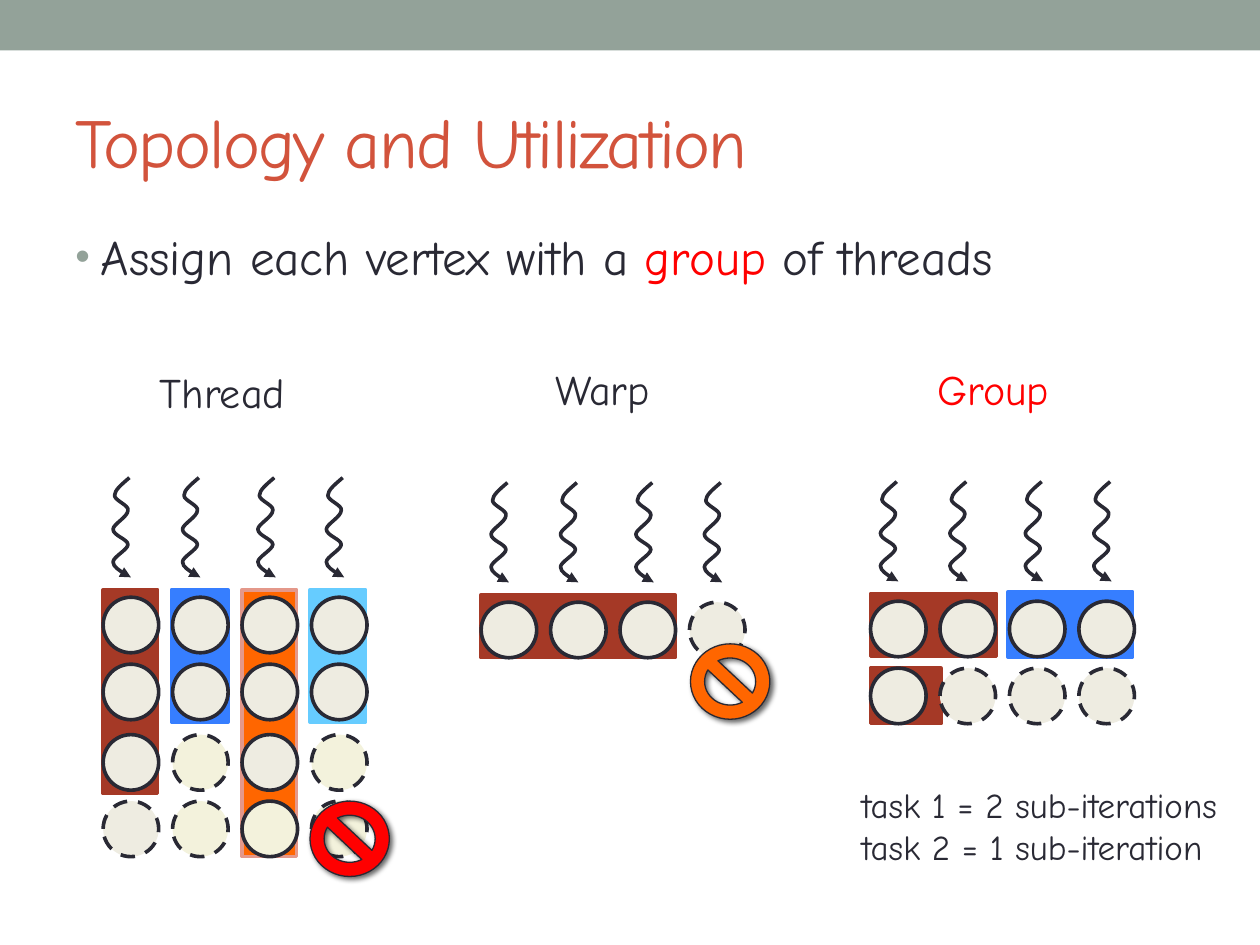
from lxml.etree import SubElement
from pptx import Presentation
from pptx.dml.color import RGBColor
from pptx.enum.dml import MSO_LINE
from pptx.enum.shapes import MSO_SHAPE
from pptx.enum.text import MSO_ANCHOR
from pptx.oxml.ns import qn
from pptx.util import Cm, Pt

COLORS = {
    "band": "93A299", "title": "D2533C", "ink": "292934", "highlight": "FF0000",
    "brick": "A53926", "blue": "367EFF", "orange": "FF6600", "salmon": "E4988A",
    "sky": "66CCFF", "stone": "EEECE1", "cream": "F3F2DC", "shadow": "000000",
}
FONT = "Comic Neue"
STROKE = 2.08

# All lengths below are in centimetres.
VERTEX_SIZE = 1.12
COLUMN_PITCH = 1.4
ROW_OFFSETS = [0, 1.35, 2.77, 4.11]
VERTEX_STYLES = {  # fill, dashed outline (idle)
    "o": ("stone", False), "-": ("stone", True),
    "c": ("cream", False), "~": ("cream", True),
}
WAVE_OFFSETS = [0.2, 1.6, 3.12, 4.5]
WAVE_RISE = 2.41
WAVE_CURVE = [  # start, then three Bezier points for each bend
    (0.33, 0),
    (0.18, 0.13), (0.03, 0.25), (0.03, 0.36),
    (0.03, 0.46), (0.33, 0.56), (0.3, 0.66),
    (0.3, 0.79), (0, 0.94), (0, 1.04),
    (0, 1.17), (0.3, 1.24), (0.3, 1.35),
    (0.3, 1.45), (0, 1.6), (0, 1.7),
    (0, 1.8), (0.23, 1.93), (0.28, 1.98),
    (0.36, 2.03), (0.28, 2.08), (0.36, 2.01),
]


def rgb(name):
    return RGBColor.from_string(COLORS[name])


def add_filled(slide, preset, box, fill, outline=None, width=STROKE):
    shape = slide.shapes.add_shape(preset, *map(Cm, box))
    shape.shadow.inherit = False
    shape.fill.solid()
    shape.fill.fore_color.rgb = rgb(fill)
    if outline:
        shape.line.color.rgb = rgb(outline)
        shape.line.width = Pt(width)
    else:
        shape.line.fill.background()
    return shape


def add_text(slide, box, lines, size, wrap=True):
    """Each line is a list of (text, colour name) runs."""
    frame = slide.shapes.add_textbox(*map(Cm, box)).text_frame
    frame.word_wrap = wrap
    for index, line in enumerate(lines):
        paragraph = frame.add_paragraph() if index else frame.paragraphs[0]
        for text, color in line:
            run = paragraph.add_run()
            run.text = text
            run.font.name = FONT
            run.font.size = Pt(size)
            run.font.color.rgb = rgb(color)
    return frame


def add_title(slide, box):
    frame = add_text(slide, box, [[("Topology and Utilization", "title")]], 40)
    frame.vertical_anchor = MSO_ANCHOR.MIDDLE
    for run in frame.paragraphs[0].runs:
        run.font._element.set("spc", "-100")


def add_bullet(slide, box):
    statement = [("Assign each vertex with a ", "ink"), ("group", "highlight"),
                 (" of threads", "ink")]
    frame = add_text(slide, box, [statement], 28)
    properties = frame.paragraphs[0]._p.get_or_add_pPr()
    properties.set("marL", str(Cm(0.51)))
    properties.set("indent", str(-Cm(0.51)))
    bullet_color = SubElement(properties, qn("a:buClr"))
    SubElement(bullet_color, qn("a:srgbClr"), val=COLORS["band"])
    SubElement(properties, qn("a:buSzPct"), val="85000")
    SubElement(properties, qn("a:buFont"), typeface="Arial")
    SubElement(properties, qn("a:buChar"), char="•")


def add_wave(slide, left, top):
    """Draw a wavy thread arrow, pointing down."""
    points = [(Cm(left + x), Cm(top + y)) for x, y in WAVE_CURVE]
    builder = slide.shapes.build_freeform(*points[0], scale=1.0)
    builder.add_line_segments(points[1:], close=False)
    wave = builder.convert_to_shape()
    wave.shadow.inherit = False
    wave.fill.background()
    wave.line.color.rgb = rgb("ink")
    wave.line.width = Pt(STROKE)
    SubElement(wave.line._get_or_add_ln(), qn("a:tailEnd"), type="triangle")

    # Turn each three straight segments into one cubic curve.
    outline = next(wave._element.iter(qn("a:path")))
    segments = outline.findall(qn("a:lnTo"))
    for start in range(0, len(segments), 3):
        curve = SubElement(outline, qn("a:cubicBezTo"))
        for segment in segments[start:start + 3]:
            curve.append(segment[0])
            outline.remove(segment)


def add_ban_sign(slide, left, top, color):
    sign = add_filled(slide, MSO_SHAPE.NO_SYMBOL, (left, top, 1.6, 1.52),
                      color, "ink", 0.75)
    effects = sign._element.spPr.find(qn("a:effectLst"))
    shadow = SubElement(effects, qn("a:outerShdw"), blurRad=str(Pt(3)),
                        dist=str(Pt(2)), dir="2700000", rotWithShape="0")
    shade = SubElement(shadow, qn("a:srgbClr"), val=COLORS["shadow"])
    SubElement(shade, qn("a:alpha"), val="60000")


def add_panel(slide, left, top, label, tasks, vertices, ban=None):
    """Draw one mapping; left and top are the corner of its vertex grid."""
    for dx, dy, width, height, fill, outline in tasks:
        add_filled(slide, MSO_SHAPE.RECTANGLE,
                   (left + dx, top + dy, width, height), fill, outline)
    for dx in WAVE_OFFSETS:
        add_wave(slide, left + dx, top - WAVE_RISE)
    for dy, row in zip(ROW_OFFSETS, vertices):
        for column, key in enumerate(row):
            fill, idle = VERTEX_STYLES[key]
            box = (left + column * COLUMN_PITCH, top + dy, VERTEX_SIZE, VERTEX_SIZE)
            vertex = add_filled(slide, MSO_SHAPE.OVAL, box, fill, "ink")
            if idle:
                vertex.line.dash_style = MSO_LINE.DASH
    text, color, dx, dy = label
    add_text(slide, (left + dx, top + dy, 4.98, 1.27), [[(text, color)]], 24)
    if ban:
        dx, dy, color = ban
        add_ban_sign(slide, left + dx, top + dy, color)


def main():
    presentation = Presentation()
    presentation.slide_width = Cm(25.4)
    presentation.slide_height = Cm(19.05)
    slide = presentation.slides.add_slide(presentation.slide_layouts[6])

    add_filled(slide, MSO_SHAPE.RECTANGLE, (0, 0, 25.4, 1.02), "band")
    add_title(slide, (1.27, 1.47, 22.86, 2.74))
    add_bullet(slide, (1.27, 4.45, 22.86, 1.6))

    add_panel(
        slide, 2.08, 12.04, ("Thread", "ink", 0.89, -4.78),
        [(0, -0.15, 1.1, 4.11, "brick", "brick"),
         (1.38, -0.15, 1.14, 2.67, "blue", "blue"),
         (2.8, -0.15, 1.1, 5.38, "orange", "salmon"),
         (4.17, -0.15, 1.12, 2.67, "sky", "sky")],
        ["oooo", "oooo", "o~o~", "-~c~"], (4.17, 4.11, "highlight"))
    add_panel(
        slide, 9.7, 12.14, ("Warp", "ink", 1.25, -4.93),
        [(0, -0.15, 3.91, 1.27, "brick", "brick")],
        ["ooo-"], (4.22, 0.84, "orange"))
    add_panel(
        slide, 17.55, 12.12, ("Group", "highlight", 1.09, -4.91),
        [(0, 1.35, 1.42, 1.12, "brick", "brick"),
         (2.77, -0.19, 2.51, 1.32, "blue", "blue"),
         (0, -0.15, 2.54, 1.27, "brick", "brick")],
        ["oooo", "o---"])
    add_text(slide, (17.12, 15.67, 8.28, 1.96),
             [[("task 1 = 2 sub-iterations", "ink")],
              [("task 2 = 1 sub-iteration", "ink")]], 20, wrap=False)

    presentation.save("out.pptx")


if __name__ == "__main__":
    main()
